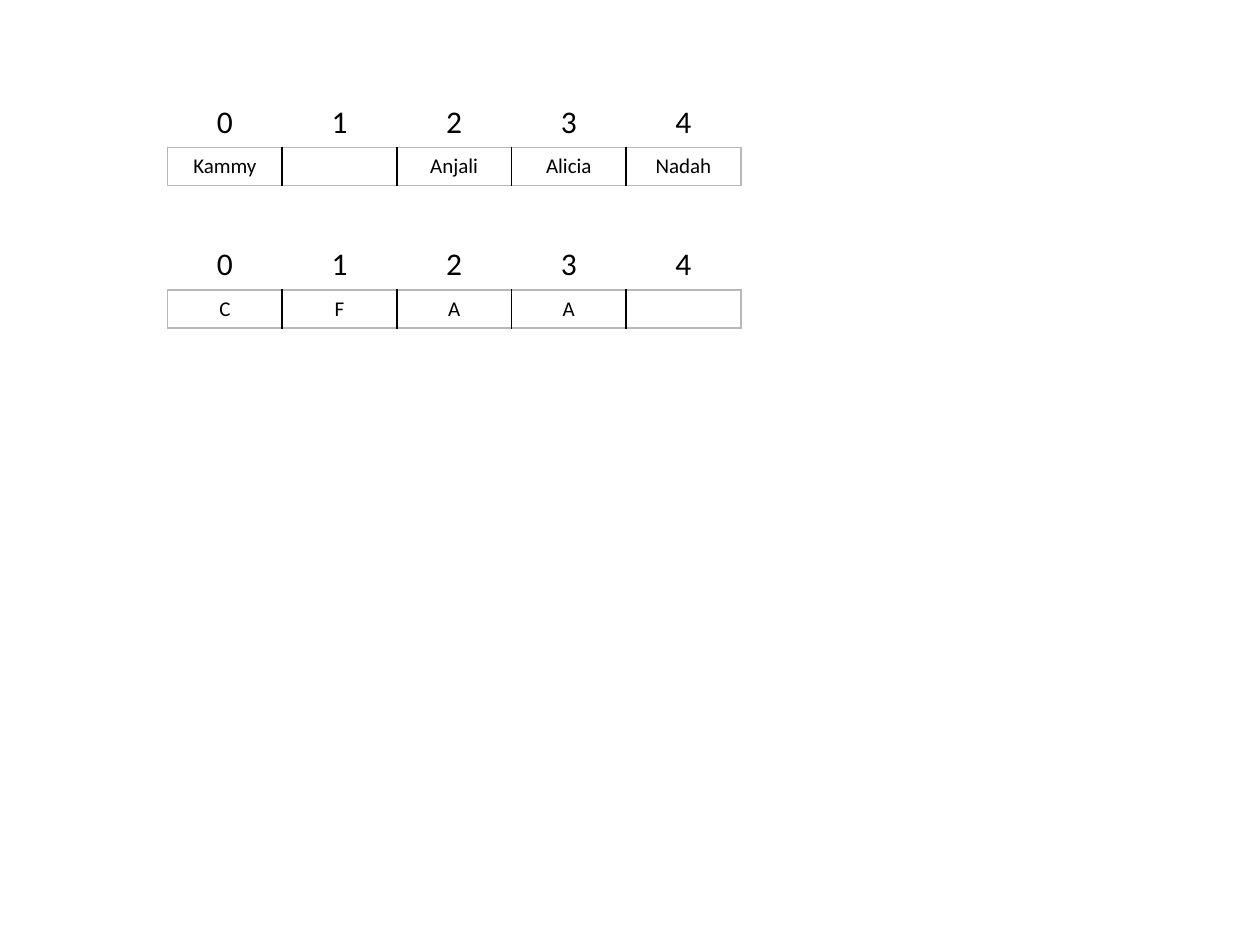
"""Build a slide with two indexed five-cell arrays."""
import pptx
import pptx.dml.color
import pptx.enum.text
import pptx.oxml
import pptx.oxml.ns
import pptx.util

Inches = pptx.util.Inches
Pt = pptx.util.Pt
BLACK = pptx.dml.color.RGBColor(0, 0, 0)
GRAY = pptx.dml.color.RGBColor(0xB8, 0xB8, 0xB8)
LEFT = 1.33
COL_WIDTH = 0.91
INDEX_HEIGHT = 0.4
VALUE_HEIGHT = 0.3
ARRAYS = [
    (0.77, ["Kammy", "", "Anjali", "Alicia", "Nadah"]),
    (1.9, ["C", "F", "A", "A", ""]),
]


def set_border(cell, side, color):
    """Draw one cell side in a colour, or hide it when there is none."""
    ns = pptx.oxml.ns.nsdecls("a")
    fill = "<a:noFill/>"
    if color is not None:
        fill = f'<a:solidFill><a:srgbClr val="{color}"/></a:solidFill>'
    xml = f'<a:ln{side} {ns} w="{Pt(1)}">{fill}</a:ln{side}>'
    cell._tc.get_or_add_tcPr().append(pptx.oxml.parse_xml(xml))


def write_cell(cell, text, size):
    """Write centred text, keeping the font size in an empty cell."""
    p = cell.text_frame.paragraphs[0]
    p.alignment = pptx.enum.text.PP_ALIGN.CENTER
    if not text:
        ns = pptx.oxml.ns.nsdecls("a")
        xml = f'<a:endParaRPr {ns} sz="{size * 100}"/>'
        p._p.append(pptx.oxml.parse_xml(xml))
        return
    r = p.add_run()
    r.text = text
    for name, value in {"name": "Calibri", "size": Pt(size), "bold": False}.items():
        setattr(r.font, name, value)
    r.font.color.rgb = BLACK


def add_row(slide, top, height, values, size, inner=None, outer=None):
    """Add a one-row table with the given inner and outer border colours."""
    count = len(values)
    frame = slide.shapes.add_table(1, count, Inches(LEFT), Inches(top),
                                   Inches(COL_WIDTH * count), Inches(height))
    table = frame.table
    for name in ("first_row", "horz_banding"):
        setattr(table, name, False)
    for i, text in enumerate(values):
        cell = table.cell(0, i)
        write_cell(cell, text, size)
        borders = {
            "L": outer if i == 0 else inner,
            "R": outer if i == count - 1 else inner,
            "T": outer,
            "B": outer,
        }
        for side, color in borders.items():
            set_border(cell, side, color)
        cell.fill.background()


def add_array(slide, top, values):
    """Add the values in boxes with their indexes above."""
    add_row(slide, top + INDEX_HEIGHT, VALUE_HEIGHT, values, 12, BLACK, GRAY)
    indexes = [str(i) for i in range(len(values))]
    add_row(slide, top, INDEX_HEIGHT, indexes, 18)


def main():
    """Create and save the presentation."""
    prs = pptx.Presentation()
    prs.slide_width = Inches(10)
    prs.slide_height = Inches(7.5)
    slide = prs.slides.add_slide(prs.slide_layouts[6])
    for top, values in ARRAYS:
        add_array(slide, top, values)
    prs.save("out.pptx")


main()
